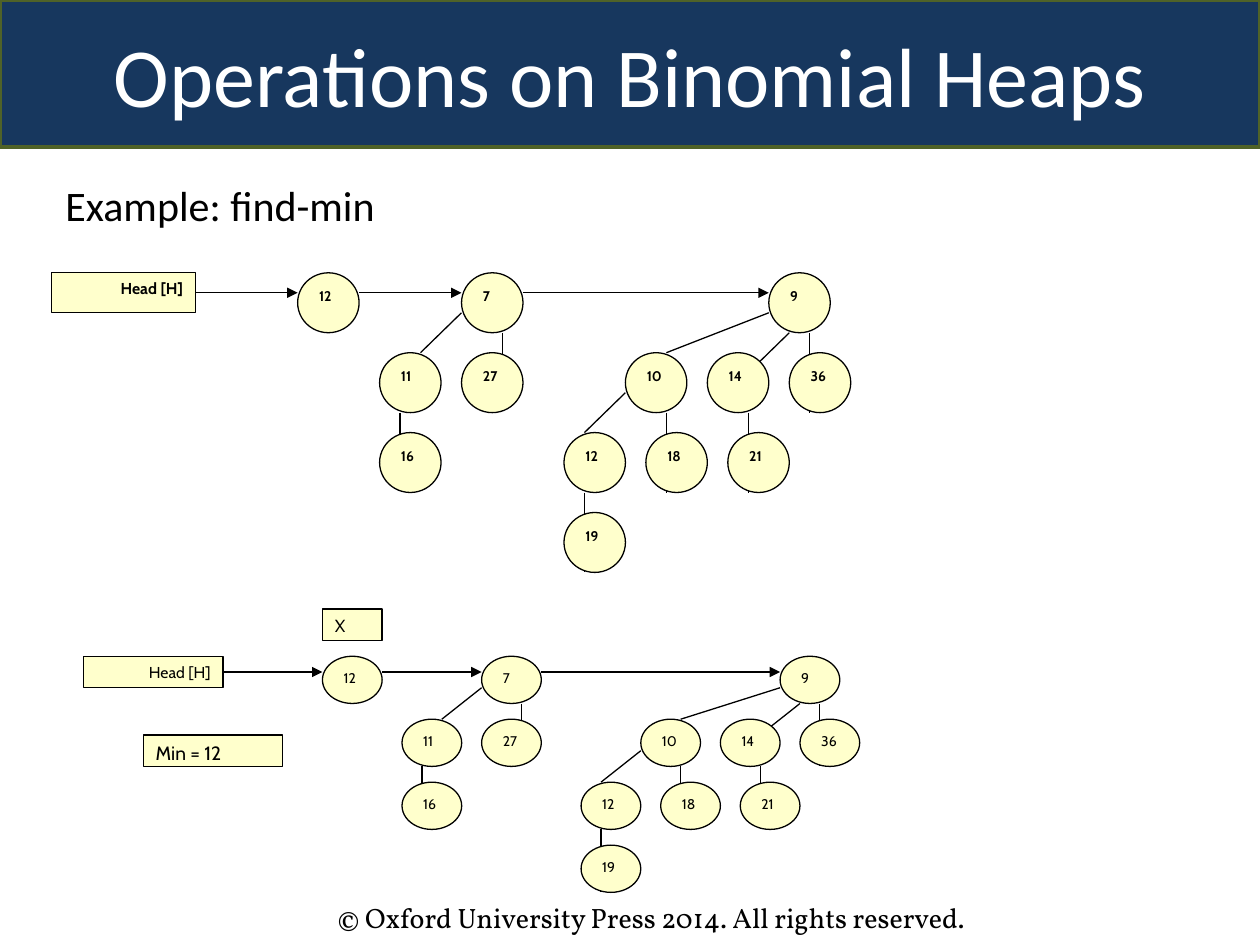
from dataclasses import dataclass
from pptx import Presentation
from pptx.dml.color import RGBColor
from pptx.enum.shapes import MSO_CONNECTOR, MSO_SHAPE
from pptx.enum.text import MSO_ANCHOR, PP_ALIGN
from pptx.oxml.ns import qn
from pptx.util import Cm, Pt
from lxml.etree import SubElement


@dataclass(frozen=True)
class Theme:
    navy: RGBColor = RGBColor(0x17, 0x37, 0x5E)
    olive: RGBColor = RGBColor(0x4F, 0x62, 0x28)
    cream: RGBColor = RGBColor(0xFF, 0xFF, 0xCC)
    black: RGBColor = RGBColor(0, 0, 0)
    white: RGBColor = RGBColor(0xFF, 0xFF, 0xFF)
    heading_font: str = "Calibri"
    label_font: str = "Cabin"
    footer_font: str = "Vollkorn"
    title_size: float = 48
    example_size: float = 24
    footer_size: float = 16
    min_size: float = 11
    marker_size: float = 10
    head_size: float = 9
    node_size: float = 8
    border_width: float = 2
    line_width: float = 0.75


@dataclass(frozen=True)
class Grid:
    left: float
    top: float
    width: float
    height: float
    columns: int = 27
    rows: int = 15

    def point(self, col, row):
        return (self.left + col * self.width / self.columns,
                self.top + row * self.height / self.rows)

    def box(self, col, row, cols, rows):
        return (*self.point(col, row), cols * self.width / self.columns,
                rows * self.height / self.rows)


NODES = [
    (0, 0, "12"), (8, 0, "7"), (23, 0, "9"),
    (4, 4, "11"), (8, 4, "27"), (16, 4, "10"), (20, 4, "14"), (24, 4, "36"),
    (4, 8, "16"), (13, 8, "12"), (17, 8, "18"), (21, 8, "21"),
    (13, 12, "19"),
]
EDGES = [
    ((8, 2), (6, 4)), ((10, 3), (10, 5)), ((5, 7), (5, 9)),
    ((23, 2), (18, 4)), ((24, 3), (22, 5)), ((25, 3), (25, 7)),
    ((16, 6), (14, 8)), ((18, 7), (18, 11)), ((22, 7), (22, 11)),
    ((14, 11), (14, 15)),
]
ROOT_LINKS = [((3, 1), (8, 1)), ((11, 1), (23, 1))]
HEAD_LINK = ((-5, 1), (0, 1))


class Deck:
    def __init__(self, prs, theme):
        self.theme = theme
        self.s = prs.slides.add_slide(prs.slide_layouts[6])
        self.shapes = self.s.shapes

    def add_text(self, sp, text, size, font, color, align=PP_ALIGN.LEFT,
                 anchor=MSO_ANCHOR.TOP, bold=False):
        tf = sp.text_frame
        tf.word_wrap = True
        tf.vertical_anchor = anchor
        p = tf.paragraphs[0]
        p.alignment = align
        r = p.add_run()
        r.text = text
        r.font.size = Pt(size)
        r.font.name = font
        r.font.bold = bold
        r.font.color.rgb = color

    def text(self, box, text, size, font, **style):
        sp = self.s.shapes.add_textbox(*map(Cm, box))
        self.add_text(sp, text, size, font, self.theme.black, **style)

    def shape(self, kind, box, fill, line, width):
        sp = self.shapes.add_shape(kind, *map(Cm, box))
        sp.shadow.inherit = False
        sp.fill.solid()
        sp.fill.fore_color.rgb = fill
        sp.line.color.rgb = line
        sp.line.width = Pt(width)
        return sp

    def banner(self, box, text):
        t = self.theme
        sp = self.shape(MSO_SHAPE.RECTANGLE, box, t.navy, t.olive, t.border_width)
        self.add_text(sp, text, t.title_size, t.heading_font, t.white,
                      PP_ALIGN.CENTER, MSO_ANCHOR.MIDDLE)

    def label(self, kind, box, text, size, **style):
        t = self.theme
        sp = self.shape(kind, box, t.cream, t.black, t.line_width)
        self.add_text(sp, text, size, t.label_font, t.black, **style)
        return sp

    def line(self, start, end, arrow=False):
        cxn = self.shapes.add_connector(MSO_CONNECTOR.STRAIGHT,
                                        *map(Cm, (*start, *end)))
        cxn.line.color.rgb = self.theme.black
        cxn.line.width = Pt(self.theme.line_width)
        properties = cxn._element.spPr
        if arrow:
            SubElement(properties.find(qn("a:ln")), qn("a:tailEnd"), type="triangle")
        SubElement(properties, qn("a:effectLst"))
        return cxn

    def heap(self, grid, bold=False, notes=()):
        t = self.theme
        self.shapes = self.s.shapes.add_group_shape().shapes
        for start, end in EDGES:
            self.line(grid.point(*start), grid.point(*end))
        for col, row, key in NODES:
            self.label(MSO_SHAPE.OVAL, grid.box(col, row, 3, 3), key,
                       t.node_size, bold=bold)
        head = self.label(MSO_SHAPE.RECTANGLE, grid.box(-12, 0, 7, 2), "Head [H]",
                          t.head_size, align=PP_ALIGN.RIGHT, bold=bold)
        for start, end in ROOT_LINKS:
            self.line(grid.point(*start), grid.point(*end), arrow=True)
        link = self.line(*(grid.point(*pt) for pt in HEAD_LINK), arrow=True)
        link.begin_connect(head, 3)
        for cells, text, size in notes:
            self.label(MSO_SHAPE.RECTANGLE, grid.box(*cells), text, size)
        self.shapes = self.s.shapes


def main():
    prs = Presentation()
    prs.slide_width, prs.slide_height = Cm(25.4), Cm(19.05)
    t = Theme()
    deck = Deck(prs, t)
    deck.text((6.55, 18.03, 15.04, 0.94),
              "© Oxford University Press 2014. All rights reserved.",
              t.footer_size, t.footer_font)
    deck.banner((0, 0, 25.4, 2.97), "Operations on Binomial Heaps")
    deck.text((1.07, 3.5, 24.23, 1.27), "Example: find-min", t.example_size,
              t.heading_font, align=PP_ALIGN.JUSTIFY, anchor=MSO_ANCHOR.MIDDLE)
    deck.heap(Grid(6, 5.5, 11.15, 6.04), bold=True)
    deck.heap(Grid(6.5, 13.23, 10.83, 4.76), notes=[
        ((0, -3, 3, 2), "X", t.marker_size),
        ((-9, 5, 7, 2), "Min = 12", t.min_size),
    ])
    prs.save("out.pptx")


if __name__ == "__main__":
    main()
